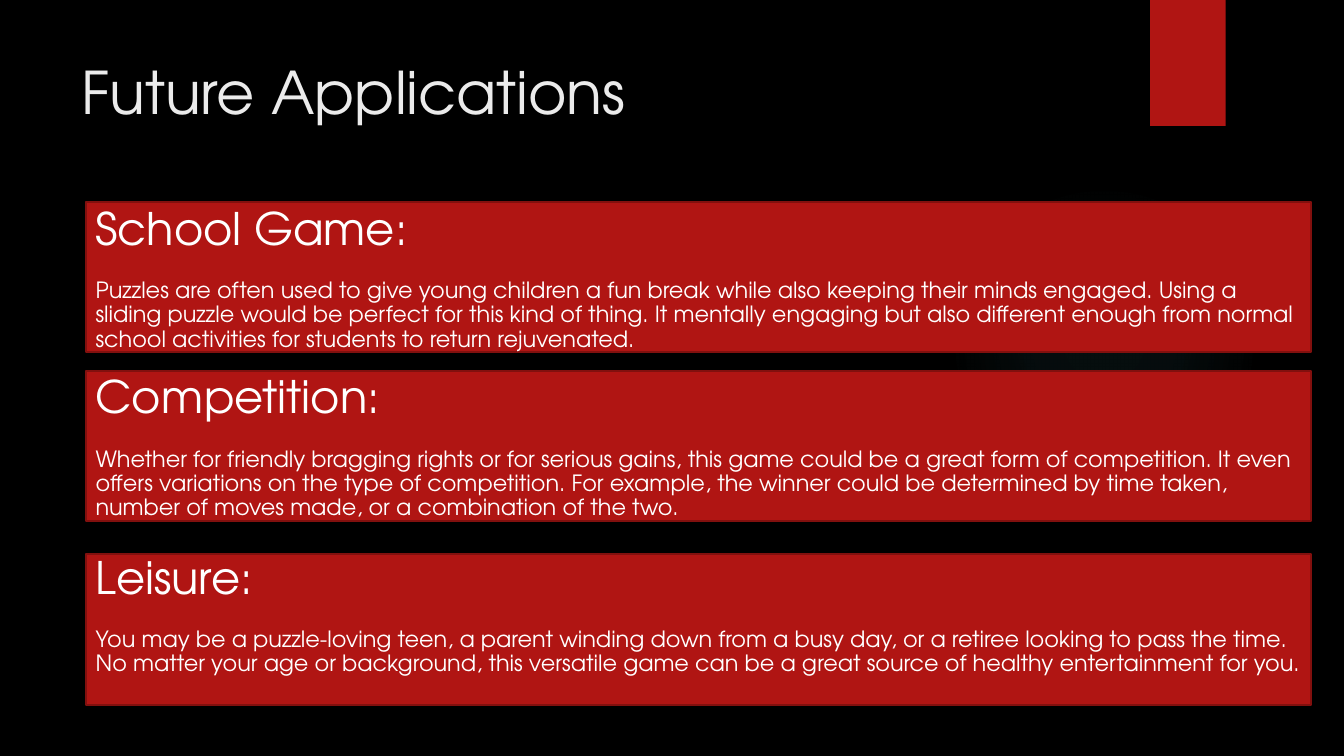
"""Build the Future Applications slide: a title over three red cards."""
from lxml import etree
from pptx import Presentation, util as u
from pptx.dml.color import RGBColor
from pptx.enum import shapes as sh, text as tx
from pptx.oxml import ns

FONT = "TeX Gyre Adventor"
BLACK = RGBColor(0x00, 0x00, 0x00)
RED = RGBColor(0xB0, 0x15, 0x13)
EDGE = RGBColor(0x82, 0x10, 0x0E)
PALE = RGBColor(0xEB, 0xEB, 0xEB)
WHITE = RGBColor(0xFF, 0xFF, 0xFF)
TEAL = "50B9C1"
CELL = u.Inches(0.25)
COLS, ROWS = 53.33, 30
LEFT, WIDE, HIGH = 3.4, 48.64, 5.96

CARDS = [
    (8, 8, "School Game:",
     "Puzzles are often used to give young children a fun break while also keeping "
     "their minds engaged. Using a sliding puzzle would be perfect for this kind of "
     "thing. It mentally engaging but also different enough from normal school "
     "activities for students to return rejuvenated."),
    (14.72, 14.68, "Competition:",
     "Whether for friendly bragging rights or for serious gains, this game could be a "
     "great form of competition. It even offers variations on the type of competition. "
     "For example, the winner could be determined by time taken, number of moves made, "
     "or a combination of the two."),
    (22, 21.84, "Leisure:",
     "You may be a puzzle-loving teen, a parent winding down from a busy day, or a "
     "retiree looking to pass the time. No matter your age or background, this "
     "versatile game can be a great source of healthy entertainment for you."),
]


def block(kind, col, row, wide, high):
    """Add a red shape without line or shadow, measured in cells."""
    box = slide.shapes.add_shape(kind, *[int(n * CELL) for n in (col, row, wide, high)])
    box.shadow.inherit = False
    box.fill.solid()
    box.fill.fore_color.rgb = RED
    box.line.fill.background()
    return box


def write(col, row, wide, high, lines, hue, space=1.0):
    """Add a text box of (words, size, gap above) lines, measured in cells."""
    box = slide.shapes.add_textbox(*[int(n * CELL) for n in (col, row, wide, high)])
    frame = box.text_frame
    frame.word_wrap = True
    frame.vertical_anchor = tx.MSO_ANCHOR.TOP
    for i, (words, size, gap) in enumerate(lines):
        para = frame.paragraphs[0] if i == 0 else frame.add_paragraph()
        para.line_spacing = space
        para.space_before = u.Pt(gap)
        run = para.add_run()
        run.text = words
        run.font.name = FONT
        run.font.size = u.Pt(size)
        run.font.color.rgb = hue


deck = Presentation()
deck.slide_width = int(COLS * CELL)
deck.slide_height = int(ROWS * CELL)
slide = deck.slides.add_slide(deck.slide_layouts[6])
slide.background.fill.solid()
slide.background.fill.fore_color.rgb = BLACK

glow = block(sh.MSO_SHAPE.OVAL, 37.64, 7.32, 12.32, 12.32)
stops = "".join(
    f'<a:gs pos="{pos * 1000}"><a:srgbClr val="{TEAL}"><a:alpha val="{part * 1000}"/>'
    "</a:srgbClr></a:gs>" for pos, part in ((0, 7), (36, 6), (69, 0), (100, 0)))
grad = etree.fromstring(
    f'<a:gradFill {ns.nsdecls("a")}><a:gsLst>{stops}</a:gsLst><a:path path="circle">'
    '<a:fillToRect l="50000" t="50000" r="50000" b="50000"/></a:path></a:gradFill>')
solid = glow.element.spPr.find(ns.qn("a:solidFill"))
glow.element.spPr.replace(solid, grad)

block(sh.MSO_SHAPE.RECTANGLE, 45.64, 0, 3, 5)
write(2.84, 2, 41.16, 6.12, [("Future Applications", 42, 0)], PALE)

for top, row, head, body in CARDS:
    card = block(sh.MSO_SHAPE.RECTANGLE, LEFT, top, WIDE, HIGH)
    card.line.color.rgb = EDGE
    card.line.width = u.Pt(1.5)
    write(LEFT, row, WIDE, 6.24, [(head, 32, 0), (body, 16, 17.5)], WHITE, 0.9)

deck.save("out.pptx")
